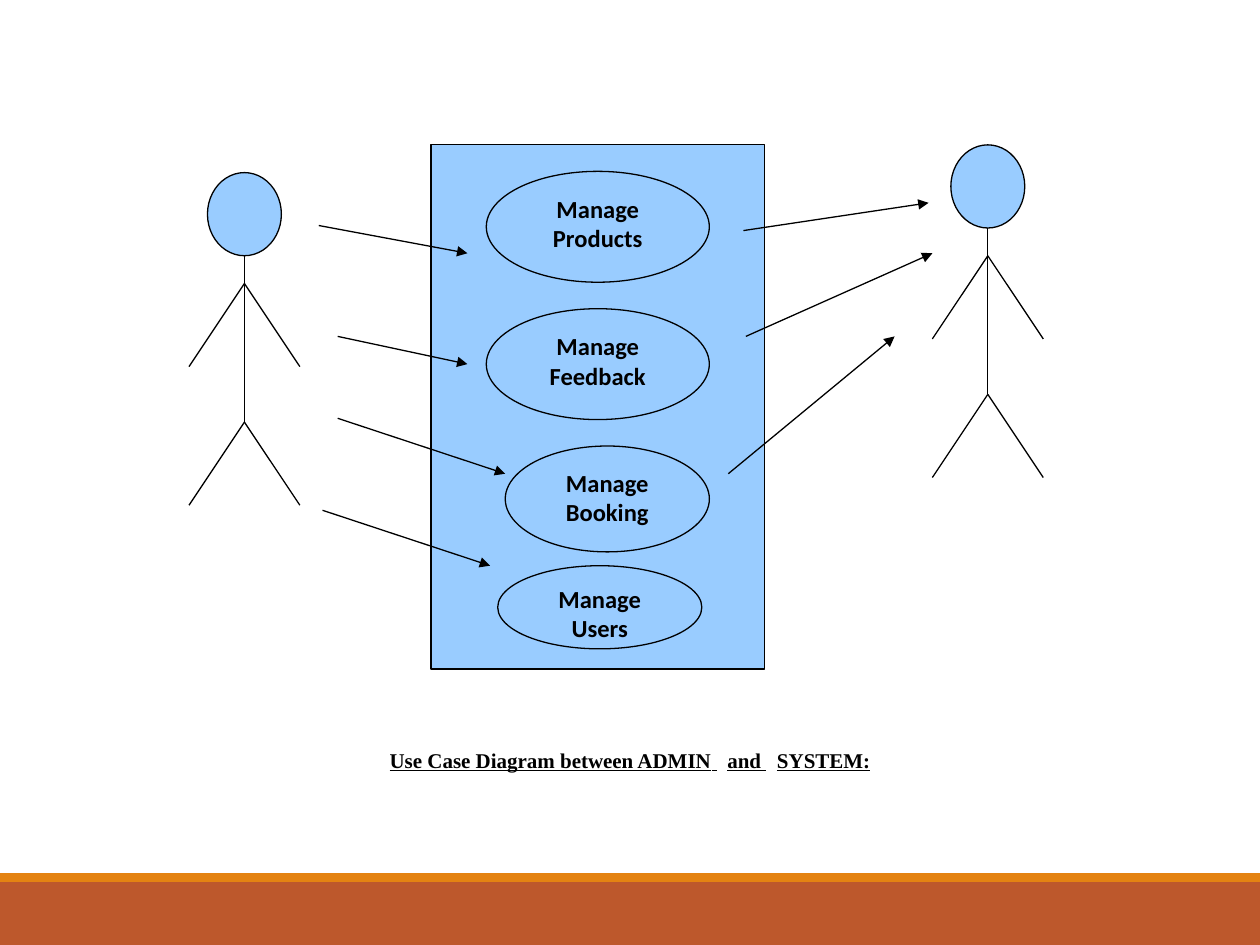
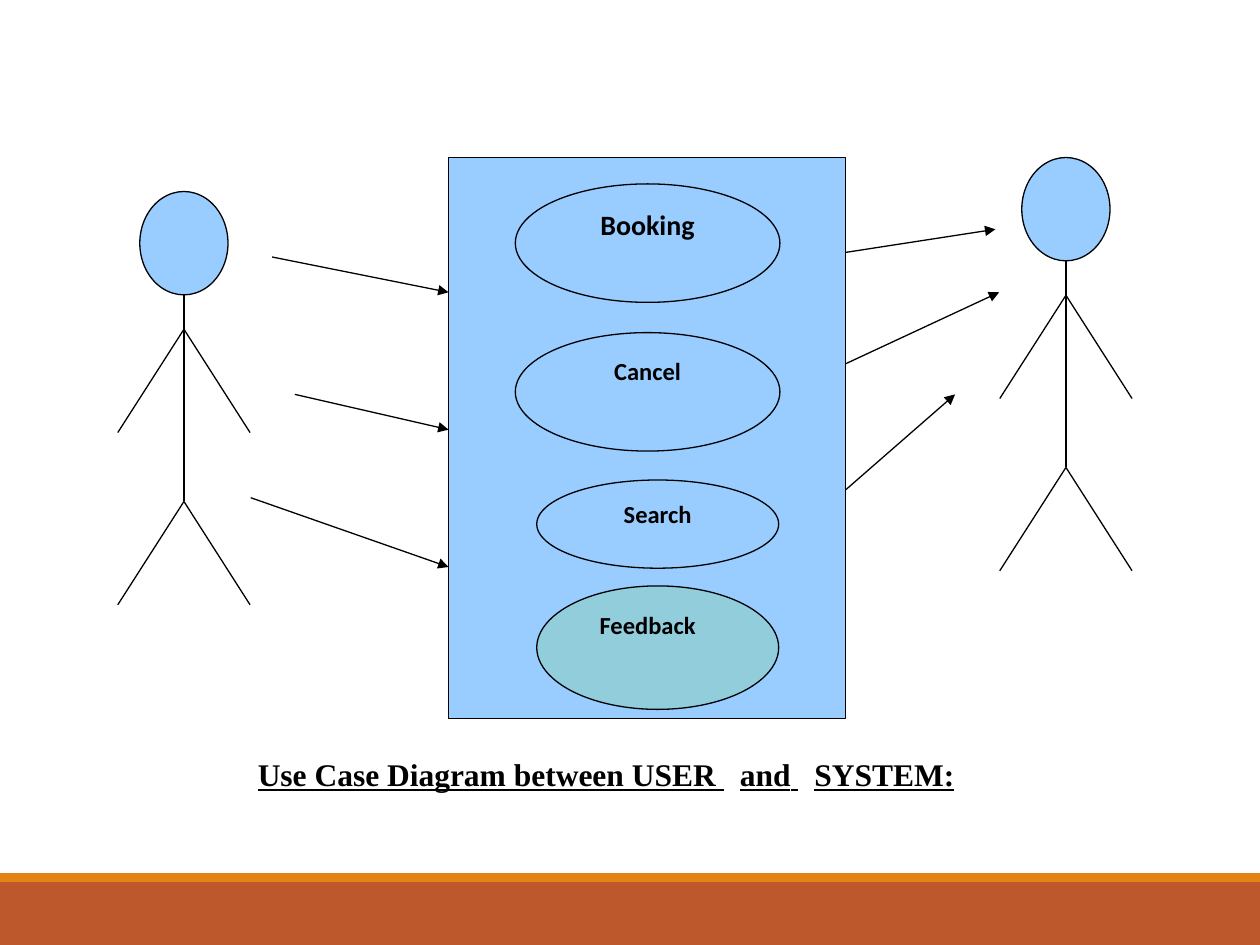
from dataclasses import dataclass

from lxml import etree
from pptx import Presentation
from pptx.dml.color import RGBColor
from pptx.enum.shapes import MSO_CONNECTOR, MSO_SHAPE
from pptx.enum.text import MSO_ANCHOR, PP_ALIGN
from pptx.oxml.ns import qn
from pptx.presentation import Presentation as Deck
from pptx.shapes.autoshape import Shape
from pptx.slide import Slide
from pptx.util import Inches, Pt

RECTANGLE = MSO_SHAPE.RECTANGLE
ELLIPSE = MSO_SHAPE.OVAL
STRAIGHT = MSO_CONNECTOR.STRAIGHT
CENTER = PP_ALIGN.CENTER
LEFT = PP_ALIGN.LEFT
TOP = MSO_ANCHOR.TOP
MIDDLE = MSO_ANCHOR.MIDDLE

BLACK = "000000"
SKY = "99CCFF"
TEAL = "92CDDC"
RUST = "BD582C"
ORANGE = "E48312"
LABEL_FONT = "Calibri"
CAPTION_FONT = "Times New Roman"
LINE_WIDTH = 0.75
TITLE_ONLY_LAYOUT = 5


@dataclass(frozen=True)
class Box:
    """A frame in inches."""
    left: float
    top: float
    width: float
    height: float


@dataclass(frozen=True)
class Line:
    """A straight line in inches."""
    x1: float
    y1: float
    x2: float
    y2: float


@dataclass(frozen=True)
class Actor:
    """A stick figure, sized by its head height and limb spread."""
    center: float
    top: float
    head: float
    spread: float


@dataclass(frozen=True)
class UseCase:
    """An ellipse inside the system box."""
    label: str
    box: Box
    size: int = 14
    fill: str = SKY


@dataclass(frozen=True)
class Caption:
    """The underlined title below a diagram."""
    role: str
    box: Box
    size: int
    anchor: MSO_ANCHOR
    wrap: bool


@dataclass(frozen=True)
class Diagram:
    """All parts of one use case slide."""
    caption: Caption
    system: Box
    actors: list[Actor]
    use_cases: list[UseCase]
    arrows: list[Line]
    arrows_behind: bool


ADMIN = Diagram(
    caption=Caption("ADMIN", Box(0, 5.78, 10, 0.5), 12, MIDDLE, False),
    system=Box(3.42, 1.15, 2.65, 4.16),
    actors=[Actor(1.94, 1.37, 0.66, 0.44), Actor(7.84, 1.15, 0.66, 0.44)],
    use_cases=[
        UseCase("Manage Products", Box(3.86, 1.36, 1.77, 0.88)),
        UseCase("Manage Feedback", Box(3.86, 2.45, 1.77, 0.88)),
        UseCase("Manage Booking", Box(4.01, 3.54, 1.62, 0.84)),
        UseCase("Manage Users", Box(3.95, 4.49, 1.62, 0.66)),
    ],
    arrows=[
        Line(2.53, 1.79, 3.71, 2.01),
        Line(2.68, 2.67, 3.71, 2.89),
        Line(2.68, 3.32, 4.01, 3.76),
        Line(2.56, 4.05, 3.89, 4.49),
        Line(5.9, 1.83, 7.37, 1.61),
        Line(5.92, 2.67, 7.4, 2.01),
        Line(5.78, 3.76, 7.1, 2.67),
    ],
    arrows_behind=False,
)

USER = Diagram(
    caption=Caption("USER", Box(0.55, 5.94, 8.52, 0.64), 18, TOP, True),
    system=Box(3.56, 1.25, 3.15, 4.45),
    actors=[Actor(1.46, 1.52, 0.82, 0.525), Actor(8.46, 1.25, 0.82, 0.525)],
    use_cases=[
        UseCase("Booking", Box(4.09, 1.46, 2.1, 0.94), 16),
        UseCase("Cancel", Box(4.09, 2.64, 2.1, 0.94)),
        UseCase("Search", Box(4.26, 3.81, 1.92, 0.7)),
        UseCase("", Box(4.26, 4.65, 1.92, 0.98), fill=TEAL),
    ],
    arrows=[
        Line(2.16, 2.04, 3.56, 2.32),
        Line(2.34, 3.13, 3.56, 3.41),
        Line(1.99, 3.95, 3.56, 4.5),
        Line(6.15, 2.09, 7.9, 1.82),
        Line(6.19, 3.13, 7.93, 2.32),
        Line(6.01, 4.5, 7.58, 3.13),
    ],
    arrows_behind=True,
)


def color(value: str) -> RGBColor:
    """Turn a hex string into a colour."""
    return RGBColor.from_string(value)


def frame(box: Box) -> tuple[Inches, ...]:
    """Give a box as lengths."""
    return tuple(Inches(side) for side in (box.left, box.top, box.width, box.height))


def add_run(paragraph, text: str, size: int, font_name: str, underline: bool = False):
    """Add one bold black run."""
    run = paragraph.add_run()
    run.text = text
    font = run.font
    font.name, font.size, font.bold = font_name, Pt(size), True
    font.underline = underline
    font.color.rgb = color(BLACK)
    return run


def add_block(slide: Slide, kind: MSO_SHAPE, box: Box, fill: str,
              outlined: bool = True) -> Shape:
    """Add a filled preset shape."""
    shape = slide.shapes.add_shape(kind, *frame(box))
    shape.shadow.inherit = False
    shape.fill.solid()
    shape.fill.fore_color.rgb = color(fill)
    if outlined:
        shape.line.color.rgb = color(BLACK)
        shape.line.width = Pt(LINE_WIDTH)
    else:
        shape.line.fill.background()
    return shape


def add_line(slide: Slide, line: Line, arrow: bool = False) -> None:
    """Add a straight line, with an arrowhead at its end if asked."""
    ends = (Inches(value) for value in (line.x1, line.y1, line.x2, line.y2))
    connector = slide.shapes.add_connector(STRAIGHT, *ends)
    connector.line.color.rgb = color(BLACK)
    connector.line.width = Pt(LINE_WIDTH)
    properties = connector.element.spPr
    if arrow:
        etree.SubElement(properties.find(qn("a:ln")), qn("a:tailEnd"), type="triangle")
    etree.SubElement(properties, qn("a:effectLst"))


def write_label(shape: Shape, text: str, size: int, alignment: PP_ALIGN) -> None:
    """Write a use case name from the top of its shape."""
    text_frame = shape.text_frame
    text_frame.word_wrap = True
    text_frame.vertical_anchor = TOP
    paragraph = text_frame.paragraphs[0]
    paragraph.alignment = alignment
    paragraph.space_after = Pt(10)
    add_run(paragraph, text, size, LABEL_FONT)


def add_actor(slide: Slide, actor: Actor) -> None:
    """Draw head, body, arms and legs on a grid of thirds of the head."""
    unit = actor.head / 3
    center, spread = actor.center, actor.spread
    head_width = spread * 4 / 3
    neck, shoulder, hip = (actor.top + unit * step for step in (3, 4, 9))
    add_block(slide, ELLIPSE,
              Box(center - head_width / 2, actor.top, head_width, actor.head), SKY)
    add_line(slide, Line(center, neck, center, hip))
    for joint in (shoulder, hip):
        for side in (-spread, spread):
            add_line(slide, Line(center, joint, center + side, joint + actor.head))


def add_system(slide: Slide, diagram: Diagram) -> None:
    """Draw the system box and its use cases."""
    add_block(slide, RECTANGLE, diagram.system, SKY)
    for use_case in diagram.use_cases:
        ellipse = add_block(slide, ELLIPSE, use_case.box, use_case.fill)
        if use_case.label:
            write_label(ellipse, use_case.label, use_case.size, CENTER)


def add_arrows(slide: Slide, diagram: Diagram) -> None:
    """Draw the arrows between the actors and the system."""
    for arrow in diagram.arrows:
        add_line(slide, arrow, arrow=True)


def write_caption(slide: Slide, caption: Caption) -> None:
    """Fill the title placeholder, with wide gaps around the word "and"."""
    title = slide.shapes.title
    title.left, title.top, title.width, title.height = frame(caption.box)
    text_frame = title.text_frame
    text_frame.word_wrap = caption.wrap
    text_frame.vertical_anchor = caption.anchor
    paragraph = text_frame.paragraphs[0]
    paragraph.alignment = CENTER
    for text in (f"Use Case Diagram between {caption.role}", " ", "and", " ", "SYSTEM:"):
        run = add_run(paragraph, text, caption.size, CAPTION_FONT, underline=True)
        if text == " ":
            run.font._element.set("spc", str(caption.size * 50))


def add_diagram(presentation: Deck, diagram: Diagram) -> Slide:
    """Add one use case slide."""
    slide = presentation.slides.add_slide(presentation.slide_layouts[TITLE_ONLY_LAYOUT])
    write_caption(slide, diagram.caption)
    for actor in diagram.actors:
        add_actor(slide, actor)
    layers = [add_system, add_arrows]
    for draw in reversed(layers) if diagram.arrows_behind else layers:
        draw(slide, diagram)
    return slide


def add_master_bands(presentation: Deck, slide: Slide) -> None:
    """Build the two footer bands and move them to the slide master."""
    for box, fill in ((Box(0, 7, 10, 0.5), RUST), (Box(0, 6.93, 10, 0.07), ORANGE)):
        band = add_block(slide, RECTANGLE, box, fill, outlined=False)
        presentation.slide_master.shapes.element.append(band.element)


def main() -> None:
    """Build and save the presentation."""
    presentation = Presentation()
    presentation.slide_width, presentation.slide_height = Inches(10), Inches(7.5)
    admin_slide = add_diagram(presentation, ADMIN)
    add_master_bands(presentation, admin_slide)
    user_slide = add_diagram(presentation, USER)
    feedback = user_slide.shapes.add_textbox(*frame(Box(4.66, 4.79, 1.31, 0.68)))
    write_label(feedback, "Feedback", 14, LEFT)
    presentation.save("out.pptx")


if __name__ == "__main__":
    main()
